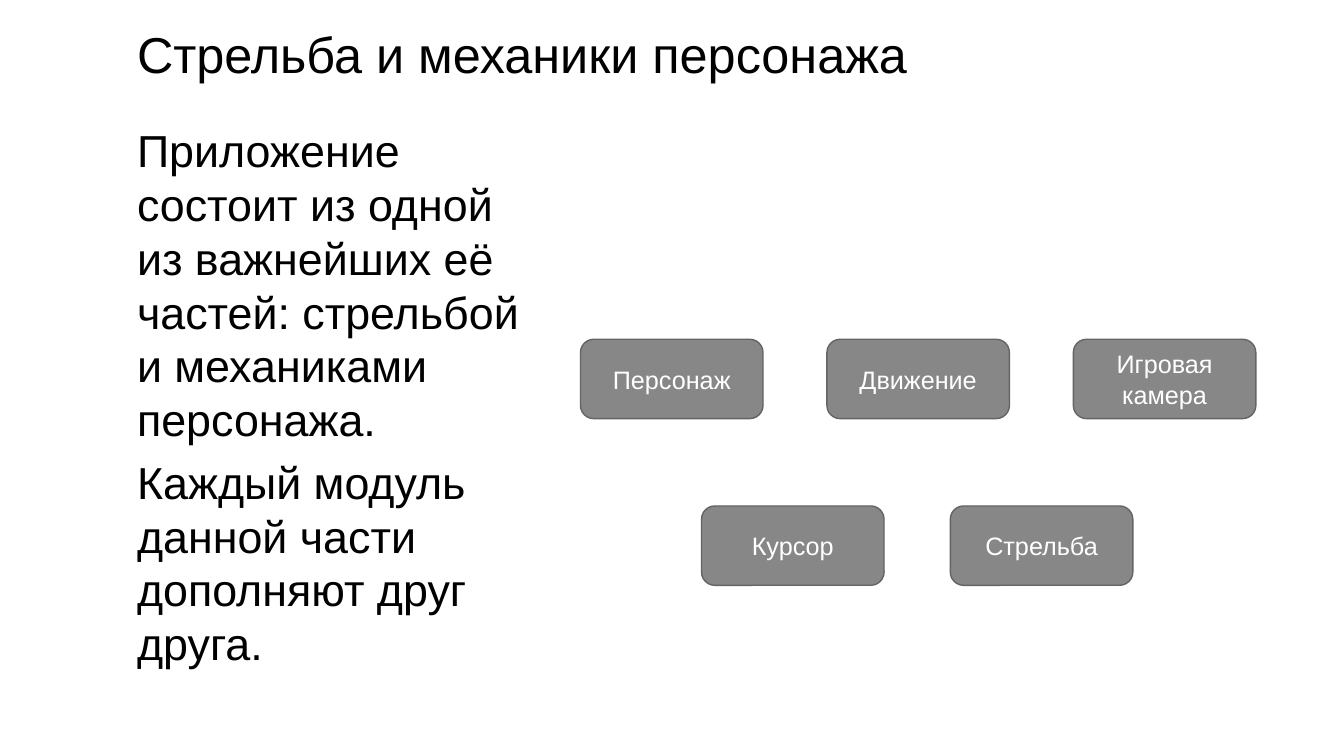
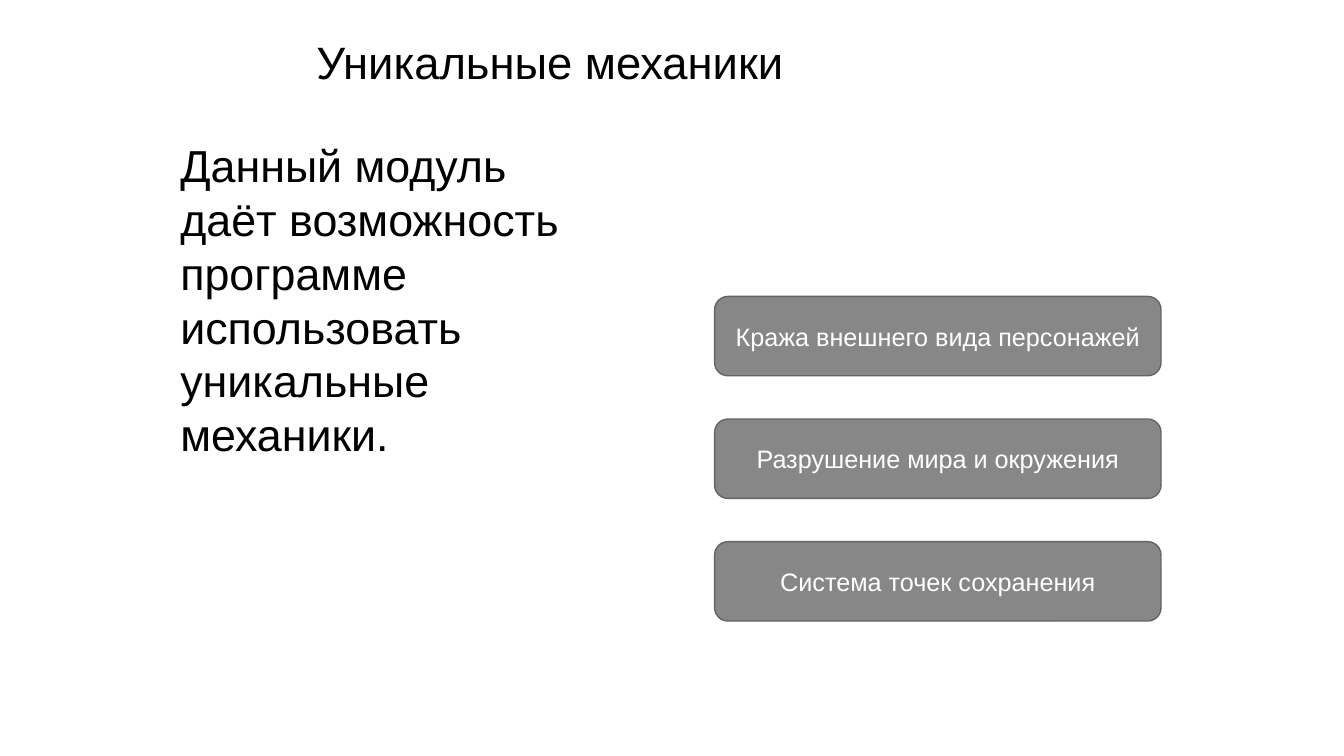
from dataclasses import dataclass
from typing import NamedTuple

from lxml.etree import SubElement
from pptx import Presentation
from pptx.dml.color import RGBColor
from pptx.enum.shapes import MSO_SHAPE as Preset
from pptx.enum.text import MSO_ANCHOR as Anchor, MSO_AUTO_SIZE as AutoSize, PP_ALIGN as Align
from pptx.oxml.ns import qn
from pptx.util import Cm, Pt


@dataclass(frozen=True)
class Theme:
    """Colours, type and sizes shared by the slides."""

    font: str = "Arial"
    ink: RGBColor = RGBColor(0x00, 0x00, 0x00)
    paper: RGBColor = RGBColor(0xFF, 0xFF, 0xFF)
    module_fill: RGBColor = RGBColor(0x87, 0x87, 0x87)
    module_line: RGBColor = RGBColor(0x64, 0x64, 0x64)
    title_size: float = 36
    small_title_size: float = 32.4
    body_size: float = 32
    module_size: float = 18
    title_width: float = 30.48
    title_height: float = 1.63
    module_width: float = 4.6
    module_height: float = 2


class Box(NamedTuple):
    """A region of the slide in centimetres."""

    left: float
    top: float
    width: float
    height: float


THEME = Theme()


def write_text(frame, *texts, size, color=THEME.ink, align=Align.LEFT, anchor=Anchor.TOP):
    """Fill a text frame with one formatted paragraph per text."""
    frame.word_wrap = True
    frame.auto_size = AutoSize.NONE
    frame.vertical_anchor = anchor
    for index, text in enumerate(texts):
        paragraph = frame.add_paragraph() if index else frame.paragraphs[0]
        paragraph.alignment = align
        run = paragraph.add_run()
        run.text = text
        run.font.name = THEME.font
        run.font.size = Pt(size)
        run.font.color.rgb = color


def place(shape, box):
    """Move and size a shape to a box."""
    shape.left, shape.top, shape.width, shape.height = map(Cm, box)


def remove_bullets(frame):
    """Clear the bullets and indents of a text frame."""
    for paragraph in frame.paragraphs:
        properties = paragraph._p.get_or_add_pPr()
        properties.set("marL", "0")
        properties.set("indent", "0")
        SubElement(properties, qn("a:buNone"))


def add_text_slide(presentation, title, title_spot, body, body_box, title_size=THEME.title_size):
    """Add a slide with a title and unbulleted body text."""
    slide = presentation.slides.add_slide(presentation.slide_layouts[1])
    heading, content = slide.placeholders
    place(heading, Box(*title_spot, THEME.title_width, THEME.title_height))
    write_text(heading.text_frame, title, size=title_size, anchor=Anchor.MIDDLE)
    place(content, body_box)
    write_text(content.text_frame, *body, size=THEME.body_size)
    remove_bullets(content.text_frame)
    return slide


def add_module(slide, text, box):
    """Add one rounded module with a centred label."""
    shape = slide.shapes.add_shape(Preset.ROUNDED_RECTANGLE, *map(Cm, box))
    shape.shadow.inherit = False
    shape.fill.solid()
    shape.fill.fore_color.rgb = THEME.module_fill
    shape.line.color.rgb = THEME.module_line
    shape.line.width = Pt(1)
    write_text(shape.text_frame, text, size=THEME.module_size, color=THEME.paper,
               align=Align.CENTER, anchor=Anchor.MIDDLE)


def add_module_row(slide, labels, box):
    """Spread modules evenly across a box."""
    step = (box.width - THEME.module_width) / (len(labels) - 1)
    for index, label in enumerate(labels):
        add_module(slide, label, Box(box.left + index * step, box.top, THEME.module_width, box.height))


def add_module_column(slide, labels, box):
    """Spread full-width modules evenly down a box."""
    step = (box.height - THEME.module_height) / (len(labels) - 1)
    for index, label in enumerate(labels):
        add_module(slide, label, Box(box.left, box.top + index * step, box.width, THEME.module_height))


def build_character_slide(presentation):
    """Build the slide on shooting and character mechanics."""
    slide = add_text_slide(
        presentation,
        "Стрельба и механики персонажа", (3.2, 0.53),
        ("Приложение состоит из одной из важнейших её частей: стрельбой и механиками персонажа.",
         "Каждый модуль данной части дополняют друг друга."),
        Box(3.2, 2.97, 10.87, 14.05))
    add_module_row(slide, ("Персонаж", "Движение", "Игровая камера"),
                   Box(14.63, 8.55, 17.02, THEME.module_height))
    add_module_row(slide, ("Курсор", "Стрельба"), Box(17.68, 12.75, 10.87, THEME.module_height))


def build_unique_slide(presentation):
    """Build the slide on unique mechanics."""
    slide = add_text_slide(
        presentation,
        "Уникальные механики", (7.72, 0.74),
        ("Данный модуль даёт возможность программе использовать уникальные механики.",),
        Box(4.29, 3.35, 10.41, 9.22),
        title_size=THEME.small_title_size)
    add_module_column(
        slide,
        ("Кража внешнего вида персонажей", "Разрушение мира и окружения", "Система точек сохранения"),
        Box(18.01, 7.47, 11.25, 8.18))


def main():
    """Build and save the presentation."""
    presentation = Presentation()
    presentation.slide_width = Cm(33.87)
    presentation.slide_height = Cm(19.05)
    build_character_slide(presentation)
    build_unique_slide(presentation)
    presentation.save("out.pptx")


if __name__ == "__main__":
    main()
